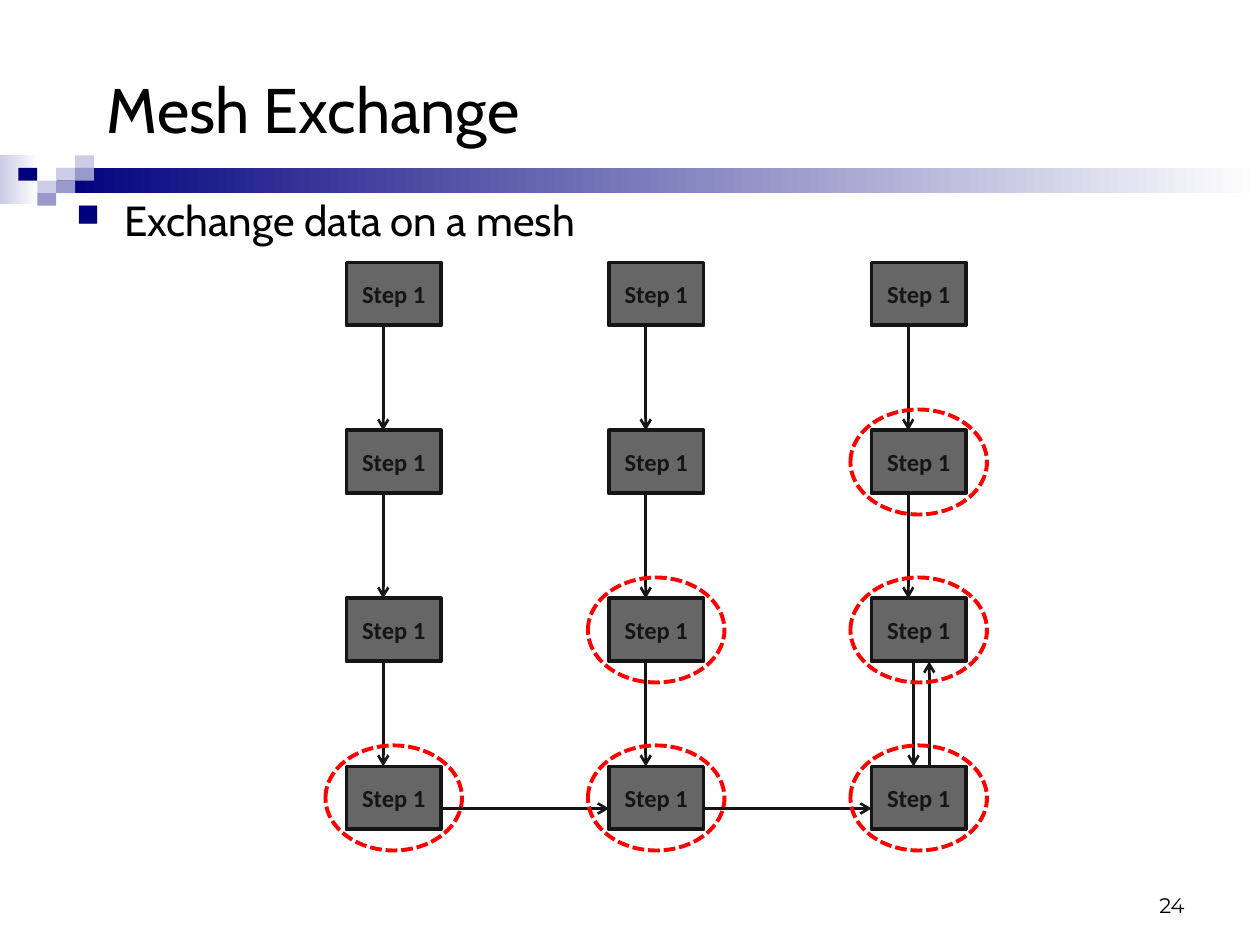
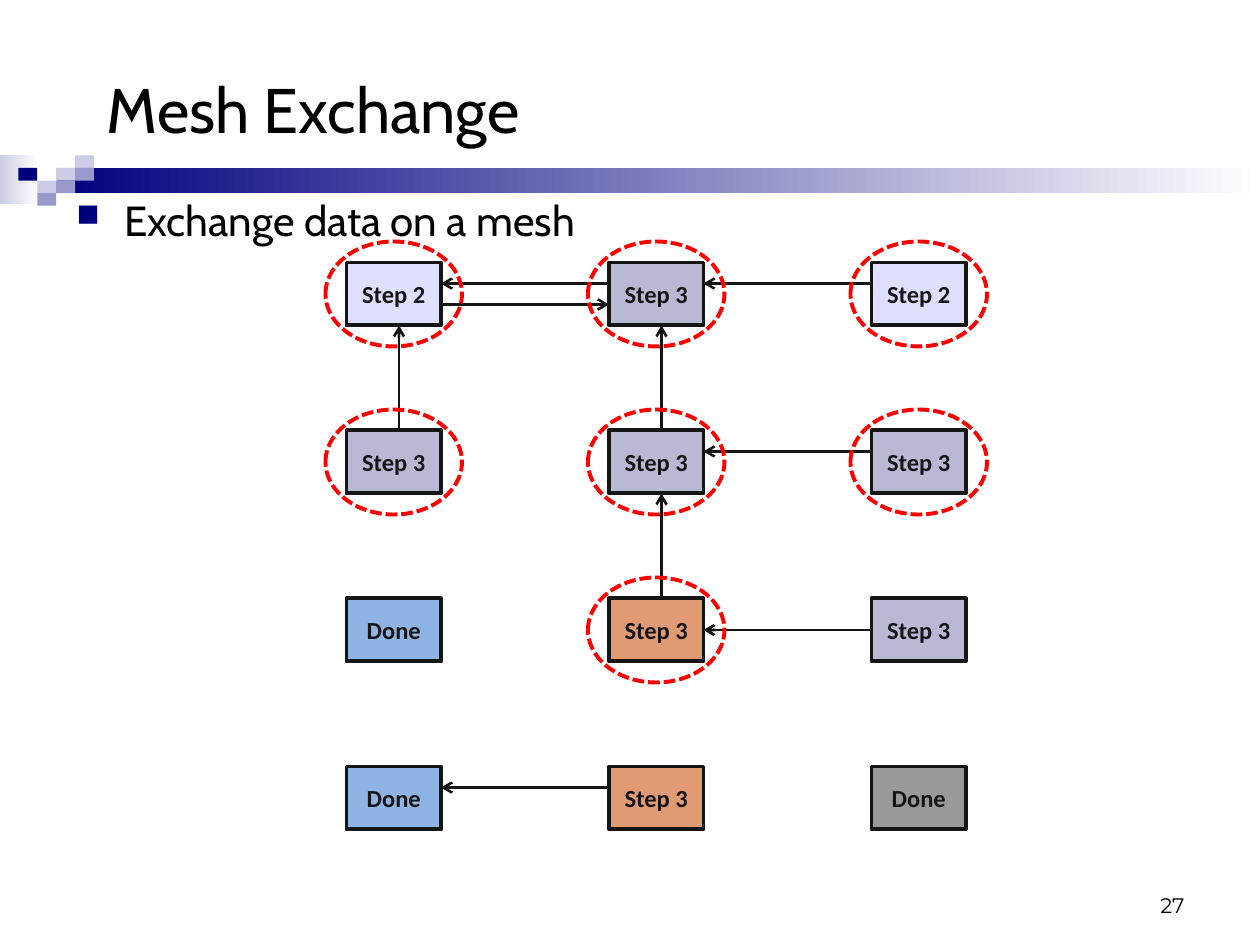
"""Builds two mesh exchange slides on a grid of 120 columns by 90 rows."""
from lxml import etree
from pptx import Presentation
from pptx import util as u
from pptx.dml.color import RGBColor
from pptx.enum import dml, shapes, text
from pptx.oxml import ns

COLOURS = {
    "black": "000000", "ink": "151515", "white": "FFFFFF", "red": "FF0000",
    "navy": "00007D", "lilac": "9999CC", "pale": "CCCCE6",
    "dark": "666666", "grey": "999999", "ice": "DFDFFF",
    "mauve": "B9B9D5", "blue": "8EB4E3", "orange": "E29A75",
}
FONTS = {
    "title": {"name": "Cabin", "size": u.Pt(36)},
    "body": {"name": "Cabin", "size": u.Pt(24)},
    "number": {"name": "Montserrat", "size": u.Pt(12)},
    "node": {"name": "Calibri", "size": u.Pt(14), "bold": True},
}
FRAME = {
    "word_wrap": True, "margin_left": u.Inches(0.1), "margin_right": u.Inches(0.1),
    "margin_top": u.Inches(0.05), "margin_bottom": u.Inches(0.05),
}
COLS, ROWS = 120, 90
NODE_W, NODE_H = 9, 6
TILE_W, TILE_H = 1.8, 1.2
TILES = [(2, 1, "pale"), (3, 0, "pale"), (3, 1, "lilac"), (1, 2, "pale"),
         (0, 1, "navy"), (2, 2, "lilac"), (1, 3, "lilac")]


def rgb(name):
    return RGBColor.from_string(COLOURS[name])


def assign(obj, values):
    for key, value in values.items():
        setattr(obj, key, value)


def add_xml(parent, tag, **attrs):
    return etree.SubElement(parent, ns.qn(tag), attrs)


def node_corner(col, row):
    return 33 + 25 * col, 25 + 16 * row


class Deck:
    """Holds the presentation, its grid and the current slide."""

    def __init__(self):
        self.prs = Presentation()
        assign(self.prs, {"slide_width": u.Inches(10), "slide_height": u.Inches(7.5)})
        self.s = None

    def grid(self, *cells):
        sizes = (self.prs.slide_width / COLS, self.prs.slide_height / ROWS)
        return [round(cell * sizes[i % 2]) for i, cell in enumerate(cells)]

    def new_slide(self, title, number):
        self.s = self.prs.slides.add_slide(self.prs.slide_layouts[6])
        self.band()
        self.textbox((9, 5, 101, 10.7), title, "title", text.MSO_ANCHOR.MIDDLE)
        self.textbox((86, 82, 28, 6), number, "number", text.MSO_ANCHOR.BOTTOM,
                     text.PP_ALIGN.RIGHT)

    def band(self):
        self.shape((0, 14.8, 3.7, 4.6), gradient="pale")
        self.shape((5.4, 16, COLS - 5.4, 2.4), gradient="navy")
        for col, row, colour in TILES:
            self.shape((1.75 + col * TILE_W, 14.8 + row * TILE_H, TILE_W, TILE_H), colour)

    def shape(self, box, fill=None, line=None, gradient=None, kind="RECTANGLE"):
        sp = self.s.shapes.add_shape(shapes.MSO_SHAPE[kind], *self.grid(*box))
        sp.shadow.inherit = False
        if gradient:
            sp.fill.gradient()
            sp.fill.gradient_angle = 0
            for stop, colour in zip(sp.fill.gradient_stops, (gradient, "white")):
                stop.color.rgb = rgb(colour)
        elif fill:
            sp.fill.solid()
            sp.fill.fore_color.rgb = rgb(fill)
        else:
            sp.fill.background()
        if line:
            sp.line.color.rgb = rgb(line)
            sp.line.width = u.Pt(2.25)
        else:
            sp.line.fill.background()
        return sp

    def label(self, sp, words, style, anchor, align, colour="black", bullet=False):
        tf = sp.text_frame
        assign(tf, {**FRAME, "vertical_anchor": anchor})
        p = tf.paragraphs[0]
        p.alignment = align
        if bullet:
            indent = u.Inches(0.38)
            pr = p._p.get_or_add_pPr()
            pr.set("marL", str(indent))
            pr.set("indent", str(-indent))
            add_xml(add_xml(pr, "a:buClr"), "a:srgbClr", val=COLOURS["navy"])
            add_xml(pr, "a:buSzPct", val="75000")
            add_xml(pr, "a:buChar", char="■")
        r = p.add_run()
        r.text = words
        assign(r.font, FONTS[style])
        r.font.color.rgb = rgb(colour)

    def textbox(self, box, words, style, anchor=text.MSO_ANCHOR.TOP,
                align=text.PP_ALIGN.LEFT, bullet=False):
        sp = self.s.shapes.add_textbox(*self.grid(*box))
        self.label(sp, words, style, anchor, align, bullet=bullet)

    def node(self, col, row, words, fill):
        sp = self.shape((*node_corner(col, row), NODE_W, NODE_H), fill, "ink")
        self.label(sp, words, "node", text.MSO_ANCHOR.MIDDLE, text.PP_ALIGN.CENTER, "ink")

    def ring(self, col, row):
        x, y = node_corner(col, row)
        sp = self.shape((x - 2, y - 2, NODE_W + 4, NODE_H + 4), line="red", kind="OVAL")
        sp.line.dash_style = dml.MSO_LINE.SQUARE_DOT

    def arrow(self, start, end, offset):
        (x1, y1), (x2, y2) = node_corner(*start), node_corner(*end)
        if y1 == y2:
            ends = (x1 + NODE_W * (x1 < x2), y1 + offset,
                    x2 + NODE_W * (x2 < x1), y2 + offset)
        else:
            ends = (x1 + offset, y1 + NODE_H * (y1 < y2),
                    x2 + offset, y2 + NODE_H * (y2 < y1))
        cx = self.s.shapes.add_connector(shapes.MSO_CONNECTOR.STRAIGHT, *self.grid(*ends))
        cx.line.color.rgb = rgb("ink")
        cx.line.width = u.Pt(1.5)
        add_xml(cx._element.spPr.find(ns.qn("a:ln")), "a:tailEnd", type="arrow")
        add_xml(cx._element.spPr, "a:effectLst")

    def mesh(self, nodes, arrows, rings):
        for row, line in enumerate(nodes):
            for col, (words, fill) in enumerate(line):
                self.node(col, row, words, fill)
        for arrow in arrows:
            self.arrow(*arrow)
        for ring in rings:
            self.ring(*ring)


FIRST, SECOND, THIRD = ("Step 1", "dark"), ("Step 2", "ice"), ("Step 3", "mauve")
TURN, DONE, LAST = ("Step 3", "orange"), ("Done", "blue"), ("Done", "grey")

DOWN = [((col, row), (col, row + 1), 4 if (col, row) == (2, 2) else 3.5)
        for col in range(3) for row in range(3)]
SLIDES = [
    ("24", [[FIRST] * 3] * 4,
     DOWN + [((0, 3), (1, 3), 4), ((1, 3), (2, 3), 4), ((2, 3), (2, 2), 5.5)],
     [(0, 3), (1, 3), (1, 2), (2, 2), (2, 3), (2, 1)]),
    ("27", [[SECOND, THIRD, SECOND], [THIRD] * 3, [DONE, TURN, THIRD], [DONE, TURN, LAST]],
     [((1, 1), (1, 0), 5), ((1, 2), (1, 1), 5), ((0, 1), (0, 0), 5),
      ((1, 3), (0, 3), 2), ((2, 1), (1, 1), 2), ((2, 2), (1, 2), 3),
      ((1, 0), (0, 0), 2), ((0, 0), (1, 0), 4), ((2, 0), (1, 0), 2)],
     [(col, row) for row in range(2) for col in range(3)] + [(1, 2)]),
]


def main():
    deck = Deck()
    for number, nodes, arrows, rings in SLIDES:
        deck.new_slide("Mesh Exchange", number)
        deck.mesh(nodes, arrows, rings)
        deck.textbox((6.1, 17.9, 110, 9), "Exchange data on a mesh", "body", bullet=True)
    deck.prs.save("out.pptx")


if __name__ == "__main__":
    main()
